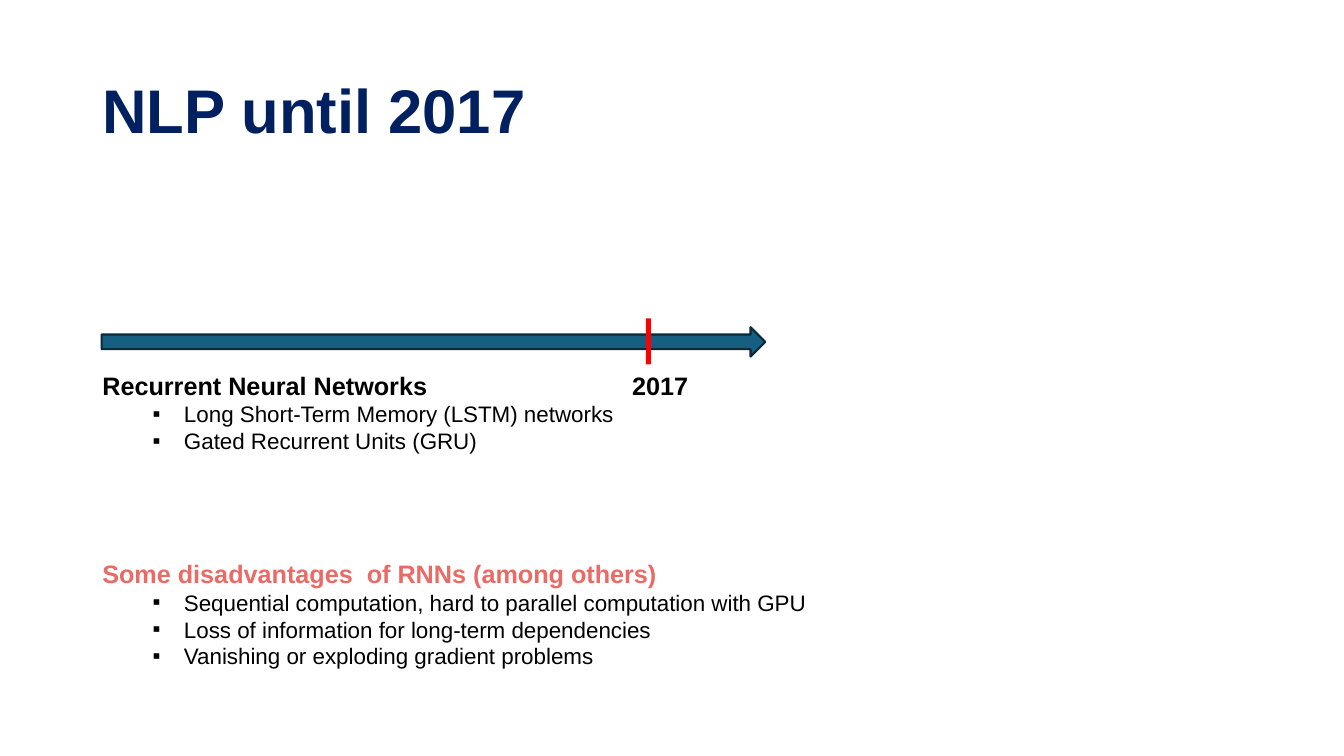
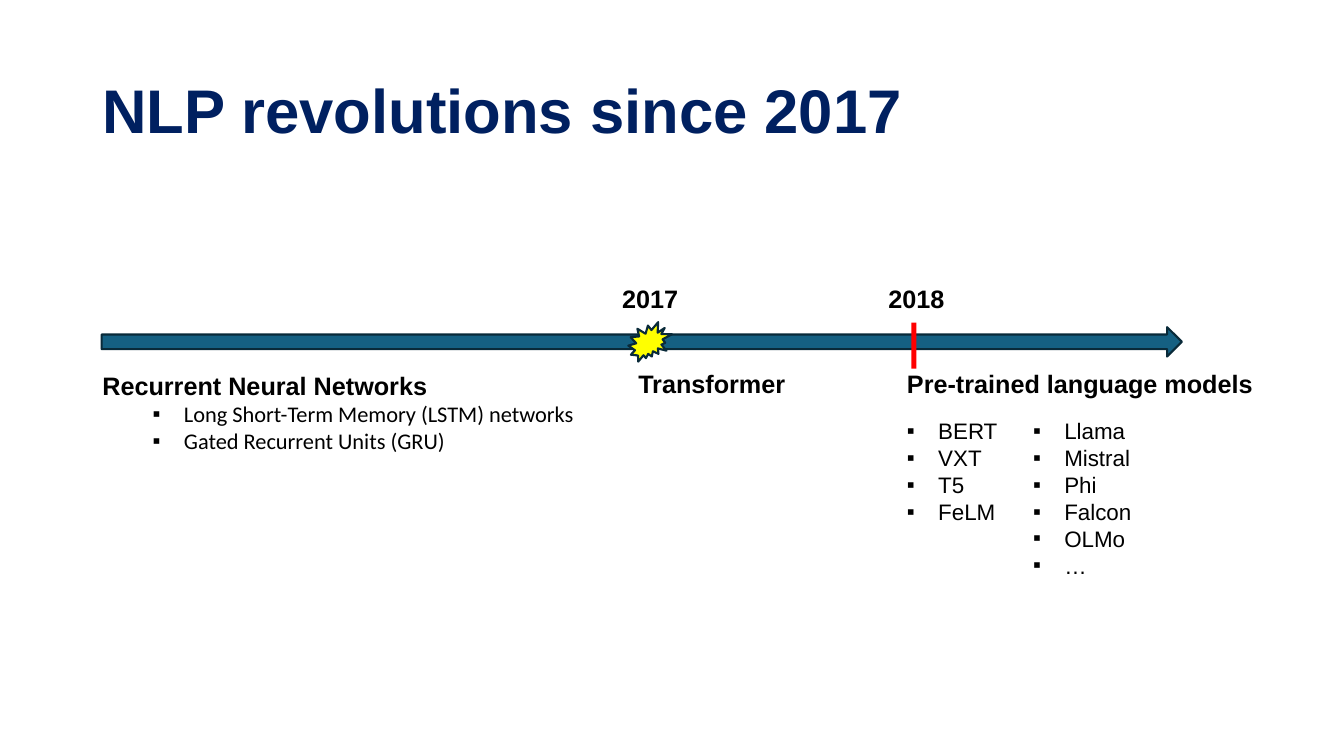
from dataclasses import dataclass

from lxml import etree
from pptx import Presentation
from pptx.dml.color import RGBColor
from pptx.enum.shapes import MSO_SHAPE
from pptx.enum.text import MSO_ANCHOR, MSO_AUTO_SIZE, PP_ALIGN
from pptx.oxml.ns import qn
from pptx.util import Inches, Pt

ARROW = MSO_SHAPE.RIGHT_ARROW
RECTANGLE = MSO_SHAPE.RECTANGLE
BURST = MSO_SHAPE.EXPLOSION2
MIDDLE = MSO_ANCHOR.MIDDLE
GROW = MSO_AUTO_SIZE.SHAPE_TO_FIT_TEXT
FIXED = MSO_AUTO_SIZE.NONE
LEFT = PP_ALIGN.LEFT
CENTER = PP_ALIGN.CENTER
BLANK_LAYOUT = 6
COLUMNS = 160
ROWS = 90


@dataclass(frozen=True)
class Theme:
    title: str = "002060"
    text: str = "000000"
    warning: str = "EA6B66"
    timeline: str = "156082"
    outline: str = "092A39"
    marker: str = "FF0000"
    burst: str = "FFFF00"
    font: str = "Arial"
    second_font: str = "Calibri"
    title_size: int = 44
    heading_size: int = 18
    item_size: int = 16
    outline_width: float = 1.5
    bullet: str = "▪"
    bullet_hang: float = 0.31
    indent: float = 0.5


class Deck:
    margin = 11
    axis = 40.7
    below = 43.45
    above = 33.1

    def __init__(self, theme):
        self.theme = theme
        self.presentation = Presentation()
        self.presentation.slide_width = Inches(13.33)
        self.presentation.slide_height = Inches(7.5)
        self.slide = None

    def place(self, left, top, width, height):
        column = self.presentation.slide_width / COLUMNS
        row = self.presentation.slide_height / ROWS
        return [round(value) for value in
                (left * column, top * row, width * column, height * row)]

    def text_frame(self, *box):
        frame = self.slide.shapes.add_textbox(*self.place(*box)).text_frame
        frame.word_wrap = True
        frame.auto_size = GROW
        return frame

    def add_run(self, paragraph, text, size, color, bold=False, font=None):
        run = paragraph.add_run()
        run.text = text
        run.font.size = Pt(size)
        run.font.name = font or self.theme.font
        run.font.bold = bold
        run.font.color.rgb = RGBColor.from_string(color)

    def add_items(self, frame, items, level=0, font=None):
        theme = self.theme
        for item in items:
            first = frame.paragraphs[0]
            paragraph = frame.add_paragraph() if first.runs else first
            paragraph.level = level
            properties = paragraph._p.get_or_add_pPr()
            hang = Inches(theme.bullet_hang)
            properties.set("marL", str(hang + Inches(theme.indent) * level))
            properties.set("indent", str(-hang))
            etree.SubElement(properties, qn("a:buFont"), typeface=theme.font)
            etree.SubElement(properties, qn("a:buChar"), char=theme.bullet)
            self.add_run(paragraph, item, theme.item_size, theme.text, font=font)

    def start_slide(self, title):
        layout = self.presentation.slide_layouts[BLANK_LAYOUT]
        self.slide = self.presentation.slides.add_slide(layout)
        frame = self.text_frame(self.margin, 4.8, 138, 17.4)
        frame.auto_size = FIXED
        frame.vertical_anchor = MIDDLE
        paragraph = frame.paragraphs[0]
        paragraph.line_spacing = 0.9
        self.add_run(paragraph, title, self.theme.title_size,
                     self.theme.title, bold=True)

    def heading(self, text, left, top, width, height=4.8, color=None, align=LEFT):
        frame = self.text_frame(left, top, width, height)
        frame.paragraphs[0].alignment = align
        self.add_run(frame.paragraphs[0], text, self.theme.heading_size,
                     color or self.theme.text, bold=True)
        return frame

    def section(self, text, items, top, width, color=None, font=None):
        frame = self.heading(text, self.margin, top, width, 15, color)
        self.add_items(frame, items, level=1, font=font)

    def bullet_list(self, items, left, width):
        height = 1.2 + 3.24 * len(items)
        self.add_items(self.text_frame(left, 49.1, width, height), items)

    def year(self, text, center, top):
        width = 11.5
        self.heading(text, center - width / 2, top, width, align=CENTER)

    def add_shape(self, kind, box, fill, outlined=True):
        shape = self.slide.shapes.add_shape(kind, *self.place(*box))
        shape.shadow.inherit = False
        shape.fill.solid()
        shape.fill.fore_color.rgb = RGBColor.from_string(fill)
        if outlined:
            shape.line.color.rgb = RGBColor.from_string(self.theme.outline)
            shape.line.width = Pt(self.theme.outline_width)
        else:
            shape.line.fill.background()

    def timeline(self, width):
        height = 3.5
        box = (12.1, self.axis - height / 2, width, height)
        self.add_shape(ARROW, box, self.theme.timeline)

    def marker(self, center, top):
        width = 0.6
        box = (center - width / 2, top, width, 5.5)
        self.add_shape(RECTANGLE, box, self.theme.marker, outlined=False)

    def burst(self, center):
        width, height = 5.2, 4.7
        box = (center - width / 2, self.axis - height / 2, width, height)
        self.add_shape(BURST, box, self.theme.burst)


RECURRENT = "Recurrent Neural Networks"
RECURRENT_KINDS = ["Long Short-Term Memory (LSTM) networks",
                   "Gated Recurrent Units (GRU)"]


def build_until_2017(deck):
    deck.start_slide("NLP until 2017")
    deck.section(RECURRENT, RECURRENT_KINDS, deck.below, 64)
    deck.timeline(79)
    deck.year("2017", 78.6, deck.below)
    deck.marker(77.2, 37.9)
    deck.section("Some disadvantages  of RNNs (among others)",
                 ["Sequential computation, hard to parallel computation with GPU",
                  "Loss of information for long-term dependencies",
                  "Vanishing or exploding gradient problems"],
                 65.9, 107.6, color=deck.theme.warning)


def build_since_2017(deck):
    models_left = 106.8
    first_width = 15
    deck.start_slide("NLP revolutions since 2017")
    deck.timeline(128.6)
    deck.section(RECURRENT, RECURRENT_KINDS, deck.below, 60.4,
                 font=deck.theme.second_font)
    deck.year("2017", 77.4, deck.above)
    deck.burst(77.4)
    deck.heading("Transformer", 74.8, 43.3, 24)
    deck.bullet_list(["BERT", "VXT", "T5", "FeLM"], models_left, first_width)
    deck.bullet_list(["Llama", "Mistral", "Phi", "Falcon", "OLMo", "…"],
                     models_left + first_width, 17.9)
    deck.marker(108.8, 38.4)
    deck.heading("Pre-trained language models", models_left, 43.3, 50.5)
    deck.year("2018", 109.1, deck.above)


def main():
    deck = Deck(Theme())
    build_until_2017(deck)
    build_since_2017(deck)
    deck.presentation.save("out.pptx")


if __name__ == "__main__":
    main()
